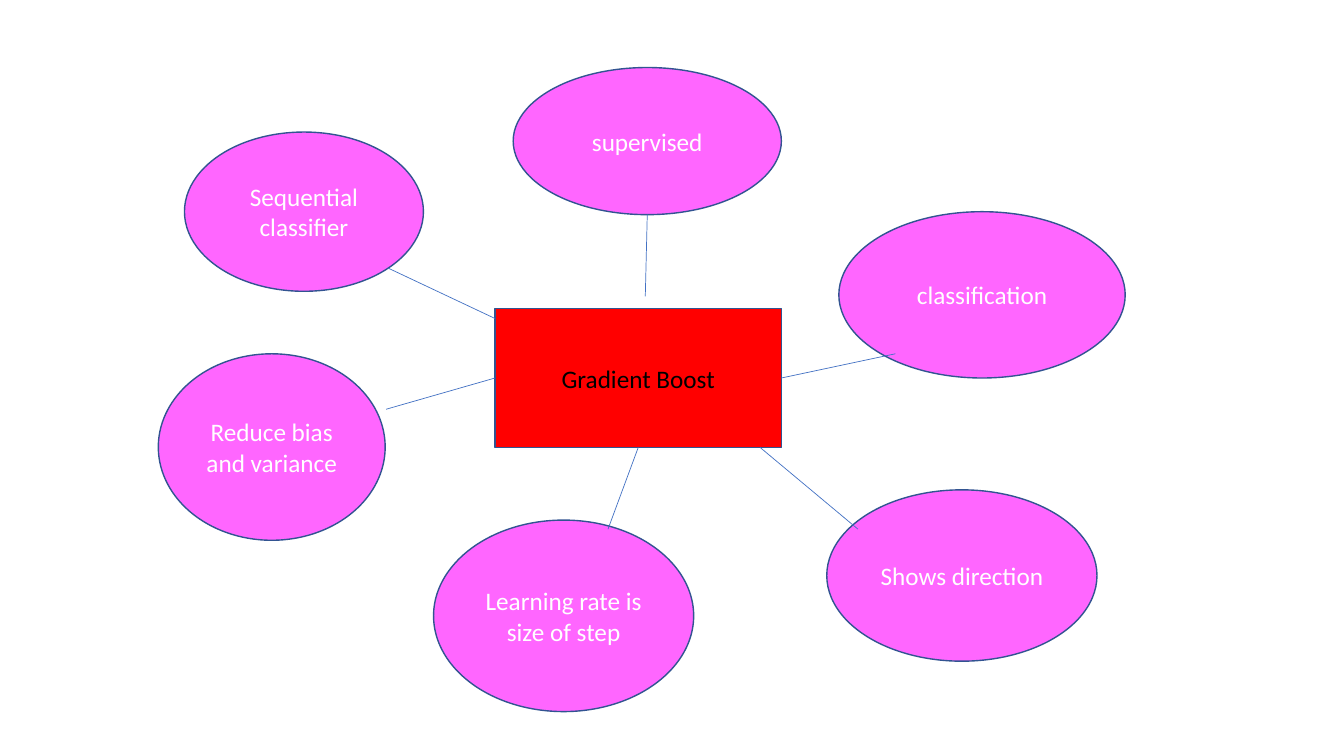
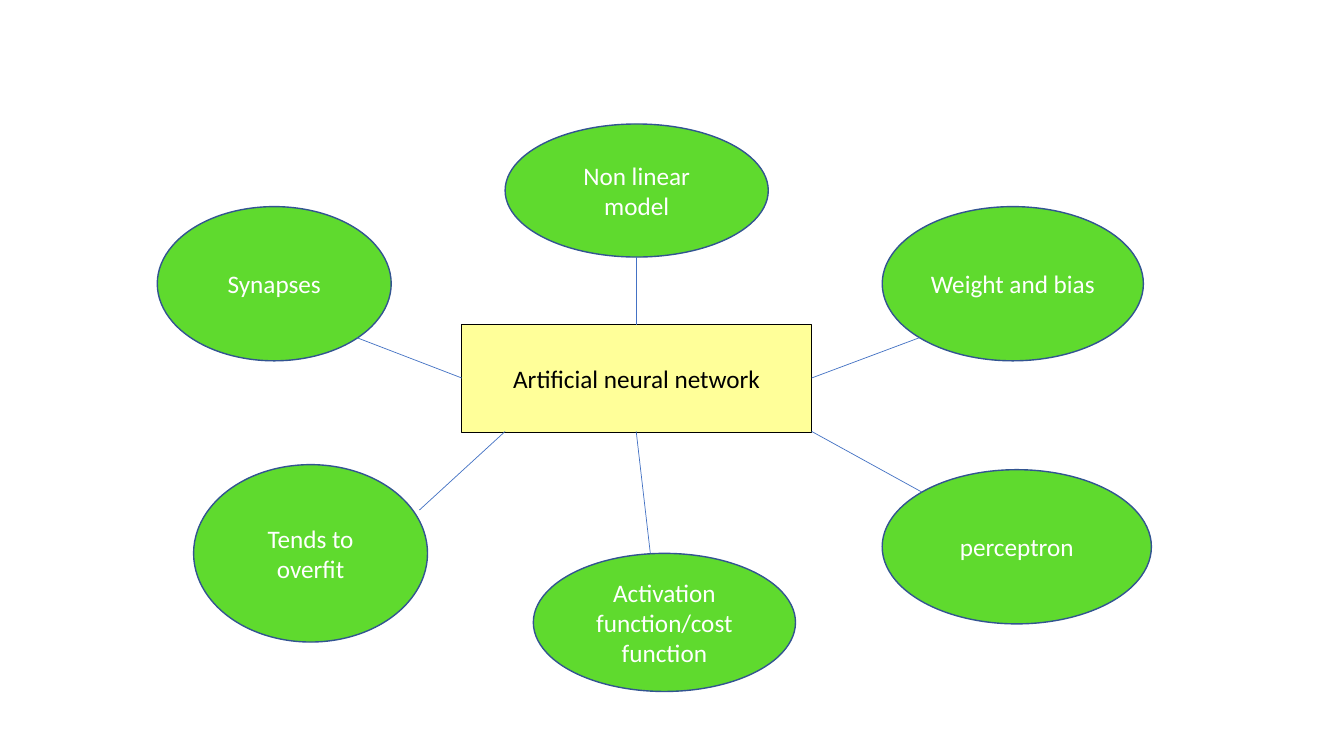
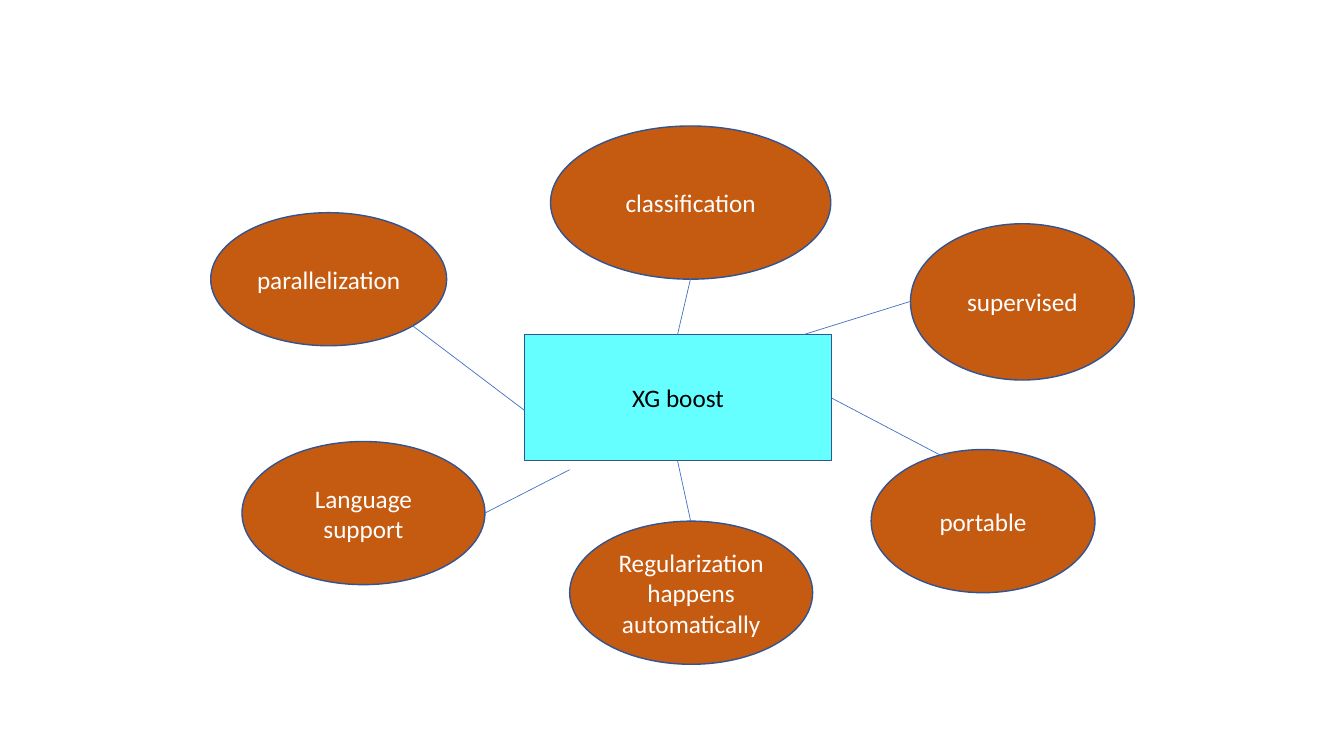
from dataclasses import dataclass

from pptx import Presentation
from pptx.dml.color import RGBColor
from pptx.enum import shapes, text
from pptx.oxml import ns, xmlchemy
from pptx.shapes.autoshape import Shape
from pptx.slide import Slide
from pptx.util import Inches, Pt

Box = tuple[float, float, float, float]  # left, top, width, height in inches
Point = tuple[float, float]


@dataclass(frozen=True)
class Theme:
    font: str = "Calibri"
    text_size: float = 18
    outline_width: float = 1
    spoke_width: float = 0.5
    outline: str = "325491"
    spoke: str = "4472C4"
    dark: str = "000000"
    light: str = "FFFFFF"


THEME = Theme()
BLANK_LAYOUT = 6


@dataclass(frozen=True)
class Idea:
    label: str
    box: Box
    spoke_start: Point
    spoke_end: Point


@dataclass(frozen=True)
class MindMap:
    topic: str
    topic_box: Box
    topic_fill: str
    idea_fill: str
    ideas: tuple[Idea, ...]
    topic_outline: str = THEME.outline


# Content of the three maps, ideas clockwise from the top
MIND_MAPS = (
    MindMap("Gradient Boost", (4.91, 3.06, 2.84, 1.38), "FF0000", "FF66FF", (
        Idea("supervised", (5.09, 0.67, 2.66, 1.46), (6.42, 2.13), (6.4, 2.94)),
        Idea("classification", (8.32, 2.1, 2.84, 1.65), (7.75, 3.75), (8.88, 3.51)),
        Idea("Shows direction", (8.2, 4.86, 2.68, 1.7), (7.54, 4.44), (8.51, 5.25)),
        Idea("Learning rate is size of step", (4.3, 5.16, 2.58, 1.9), (6.33, 4.44), (6.03, 5.25)),
        Idea("Reduce bias and variance", (1.57, 3.51, 2.25, 1.85), (3.83, 4.06), (4.91, 3.75)),
        Idea("Sequential classifier", (1.83, 1.31, 2.37, 1.58), (3.85, 2.66), (4.91, 3.16)),
    )),
    MindMap("Artificial neural network", (4.58, 3.22, 3.47, 1.07), "FFFF99", "5FDA2E", (
        Idea("Non linear model", (5.01, 1.23, 2.61, 1.32), (6.31, 2.55), (6.31, 3.22)),
        Idea("Weight and bias", (8.75, 2.05, 2.59, 1.53), (8.05, 3.75), (9.12, 3.35)),
        Idea("perceptron", (8.75, 4.66, 2.67, 1.53), (8.05, 4.28), (9.14, 4.88)),
        Idea("Activation function/cost function", (5.29, 5.49, 2.6, 1.37), (6.31, 4.28), (6.45, 5.49)),
        Idea("Tends to overfit", (1.92, 4.61, 2.32, 1.76), (4.16, 5.06), (5.01, 4.28)),
        Idea("Synapses", (1.56, 2.05, 2.32, 1.53), (3.54, 3.35), (4.58, 3.75)),
    ), topic_outline=THEME.dark),
    MindMap("XG boost", (5.2, 3.32, 3.05, 1.25), "66FFFF", "C55A11", (
        Idea("classification", (5.46, 1.25, 2.78, 1.52), (6.85, 2.76), (6.72, 3.32)),
        Idea("supervised", (9.03, 2.22, 2.22, 1.55), (9.03, 2.99), (7.97, 3.32)),
        Idea("portable", (8.64, 4.46, 2.22, 1.42), (8.25, 3.95), (9.43, 4.57)),
        Idea("Regularization happens automatically", (5.65, 5.17, 2.41, 1.42), (6.72, 4.57), (6.85, 5.17)),
        Idea("Language support", (2.4, 4.38, 2.41, 1.42), (4.81, 5.09), (5.65, 4.66)),
        Idea("parallelization", (2.09, 2.11, 2.34, 1.32), (4.09, 3.23), (5.2, 4.07)),
    )),
)


def rgb(code: str) -> RGBColor:
    return RGBColor.from_string(code)


def add_node(slide: Slide, kind: shapes.MSO_SHAPE, label: str, box: Box,
             fill: str, outline: str, text_color: str) -> Shape:
    """Draw a filled shape with a centred label."""
    node = slide.shapes.add_shape(kind, *map(Inches, box))
    node.shadow.inherit = False
    node.fill.solid()
    node.fill.fore_color.rgb = rgb(fill)
    node.line.color.rgb = rgb(outline)
    node.line.width = Pt(THEME.outline_width)

    frame = node.text_frame
    frame.word_wrap = True
    frame.vertical_anchor = text.MSO_ANCHOR.MIDDLE
    frame.text = label
    paragraph = frame.paragraphs[0]
    paragraph.alignment = text.PP_ALIGN.CENTER
    paragraph.font.name = THEME.font
    paragraph.font.size = Pt(THEME.text_size)
    paragraph.font.color.rgb = rgb(text_color)
    return node


def add_spoke(slide: Slide, start: Point, end: Point) -> None:
    """Draw a thin line between the topic and an idea."""
    spoke = slide.shapes.add_connector(
        shapes.MSO_CONNECTOR.STRAIGHT, *map(Inches, start + end))
    spoke.line.color.rgb = rgb(THEME.spoke)
    spoke.line.width = Pt(THEME.spoke_width)
    spoke._element.spPr.append(xmlchemy.OxmlElement("a:effectLst"))


def draw_mind_map(slide: Slide, mind_map: MindMap) -> None:
    add_node(slide, shapes.MSO_SHAPE.RECTANGLE, mind_map.topic, mind_map.topic_box,
             mind_map.topic_fill, mind_map.topic_outline, THEME.dark)
    for idea in mind_map.ideas:
        add_node(slide, shapes.MSO_SHAPE.OVAL, idea.label, idea.box,
                 mind_map.idea_fill, THEME.outline, THEME.light)
    # Spokes lie on top of the ovals
    for idea in mind_map.ideas:
        add_spoke(slide, idea.spoke_start, idea.spoke_end)


def main() -> None:
    deck = Presentation()
    deck.slide_width, deck.slide_height = Inches(13.33), Inches(7.5)
    for mind_map in MIND_MAPS:
        slide = deck.slides.add_slide(deck.slide_layouts[BLANK_LAYOUT])
        draw_mind_map(slide, mind_map)
    deck.save("out.pptx")


if __name__ == "__main__":
    main()
